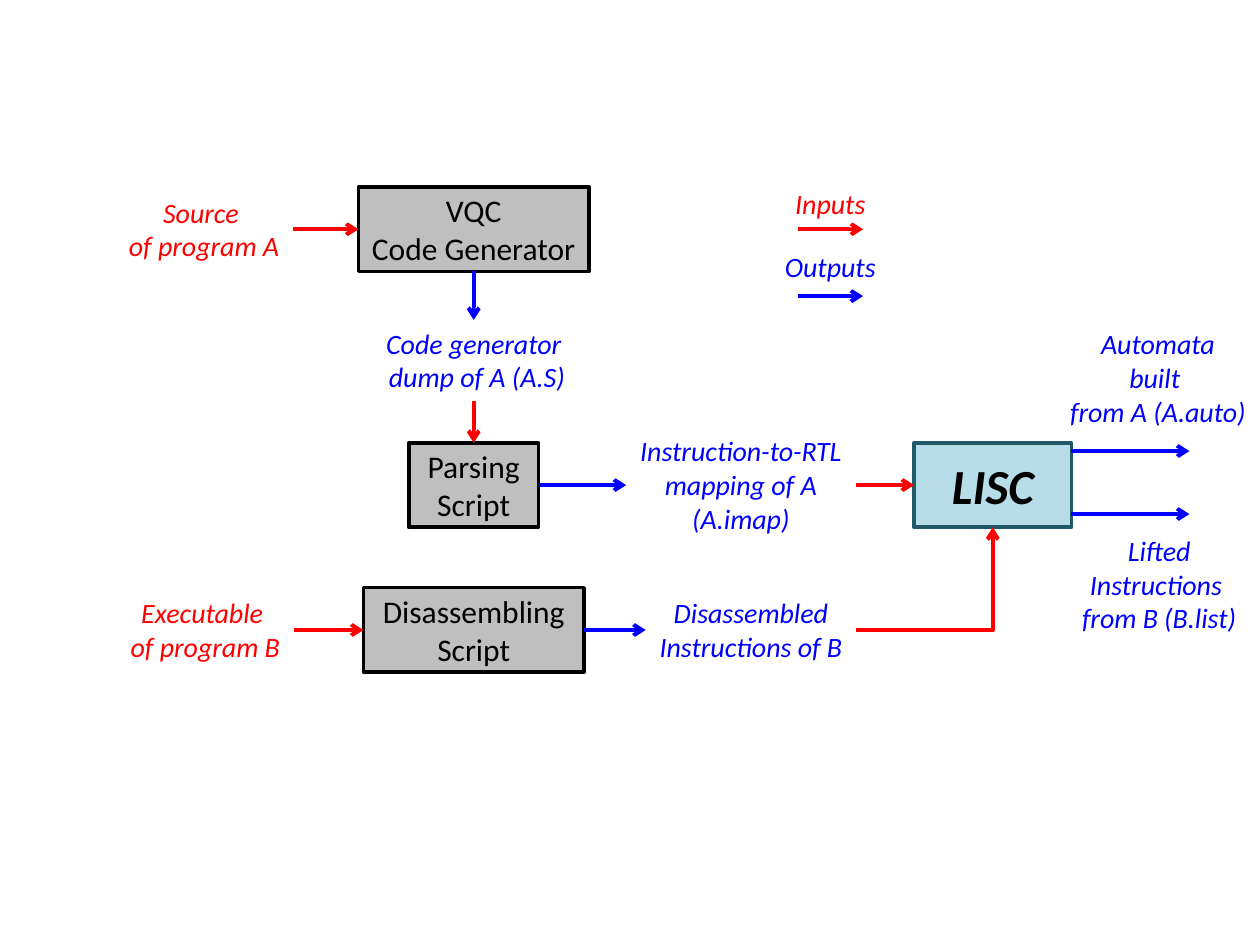
from dataclasses import dataclass

from lxml.etree import SubElement
from pptx import Presentation
from pptx.dml.color import RGBColor
from pptx.enum.shapes import MSO_CONNECTOR, MSO_SHAPE
from pptx.enum.text import MSO_ANCHOR, MSO_AUTO_SIZE, PP_ALIGN
from pptx.oxml.ns import qn
from pptx.util import Inches, Pt


@dataclass(frozen=True)
class Theme:
    font: str = "Calibri"
    red: str = "FF0000"
    blue: str = "0000FF"
    black: str = "000000"
    gray: str = "BFBFBF"
    aqua: str = "B7DEE8"
    teal: str = "215968"
    label: int = 16
    box: int = 18
    hero: int = 28
    edge: float = 2
    wire: float = 2.25


THEME = Theme()
TOP, LEFT, BOTTOM, RIGHT = range(4)
SPINE = 3.76
ROW_A, ROW_P, ROW_B = 1.82, 3.85, 5


def style(item, values):
    for name, value in values.items():
        setattr(item, name, value)


def write(frame, lines, size, color, **looks):
    looks = {"name": THEME.font, "size": Pt(size), **looks}
    for i, line in enumerate(lines):
        para = frame.paragraphs[0] if i == 0 else frame.add_paragraph()
        para.alignment = PP_ALIGN.CENTER
        run = para.add_run()
        run.text = line
        style(run.font, looks)
        run.font.color.rgb = RGBColor.from_string(color)


def place(x, y, width, height):
    return [Inches(v) for v in (x - width / 2, y - height / 2, width, height)]


def add_box(slide, x, y, width, lines, fill=THEME.gray, edge=THEME.black,
            size=THEME.box, **looks):
    box = slide.shapes.add_shape(MSO_SHAPE.RECTANGLE, *place(x, y, width, 0.67))
    box.shadow.inherit = False
    box.fill.solid()
    box.fill.fore_color.rgb = RGBColor.from_string(fill)
    box.line.color.rgb = RGBColor.from_string(edge)
    box.line.width = Pt(THEME.edge)
    style(box.text_frame, {"word_wrap": True, "vertical_anchor": MSO_ANCHOR.MIDDLE})
    write(box.text_frame, lines, size, THEME.black, **looks)
    return box


def add_label(slide, x, y, width, lines, color=THEME.blue):
    height = 0.1 + 0.27 * len(lines)
    label = slide.shapes.add_textbox(*place(x, y, width, height))
    style(label.text_frame, {"word_wrap": False,
                             "auto_size": MSO_AUTO_SIZE.SHAPE_TO_FIT_TEXT})
    write(label.text_frame, lines, THEME.label, color, italic=True)
    return label


def add_arrow(slide, color, ends=(0, 0, 0, 0), kind=MSO_CONNECTOR.STRAIGHT):
    arrow = slide.shapes.add_connector(kind, *[Inches(v) for v in ends])
    arrow.line.color.rgb = RGBColor.from_string(color)
    arrow.line.width = Pt(THEME.wire)
    props = arrow._element.spPr
    SubElement(props.find(qn("a:ln")), qn("a:tailEnd"), type="arrow")
    SubElement(props, qn("a:effectLst"))
    return arrow


def join(slide, color, start, side, stop, port, kind=MSO_CONNECTOR.STRAIGHT):
    arrow = add_arrow(slide, color, kind=kind)
    arrow.begin_connect(start, side)
    arrow.end_connect(stop, port)
    return arrow


def main():
    deck = Presentation()
    style(deck, {"slide_width": Inches(10), "slide_height": Inches(7.5)})
    slide = deck.slides.add_slide(deck.slide_layouts[6])
    red, blue = THEME.red, THEME.blue

    coder = add_box(slide, SPINE, ROW_A, 1.83, ["VQC", "Code Generator"])
    parser = add_box(slide, SPINE, ROW_P, 1.03, ["Parsing", "Script"])
    lisc = add_box(slide, 7.88, ROW_P, 1.25, ["LISC"], THEME.aqua, THEME.teal,
                   THEME.hero, bold=True, italic=True)
    splitter = add_box(slide, SPINE, ROW_B, 1.75, ["Disassembling", "Script"])

    source = add_label(slide, 1.62, ROW_A, 1.41, ["Source ", "of program A"], red)
    dump = add_label(slide, SPINE, 2.86, 1.67, ["Code generator", " dump of A (A.S)"])
    imap = add_label(slide, 5.88, ROW_P, 1.82,
                     ["Instruction-to-RTL", "mapping of A", "(A.imap)"])
    binary = add_label(slide, 1.63, ROW_B, 1.4, ["Executable ", "of program B"], red)
    listing = add_label(slide, 5.96, ROW_B, 1.67, ["Disassembled", "Instructions of B"])
    add_label(slide, 9.19, 3, 1.62, ["Automata", "built ", "from A (A.auto)"])
    add_label(slide, 9.2, 4.64, 1.44, ["Lifted", "Instructions ", "from B (B.list)"])

    for color, start, side, stop, port in (
        (red, source, RIGHT, coder, LEFT),
        (blue, coder, BOTTOM, dump, TOP),
        (red, dump, BOTTOM, parser, TOP),
        (blue, parser, RIGHT, imap, LEFT),
        (red, imap, RIGHT, lisc, LEFT),
        (red, binary, RIGHT, splitter, LEFT),
        (blue, splitter, RIGHT, listing, LEFT),
    ):
        join(slide, color, start, side, stop, port)

    elbow = join(slide, red, listing, RIGHT, lisc, BOTTOM, MSO_CONNECTOR.ELBOW)
    elbow._element.spPr.find(qn("a:prstGeom")).set("prst", "bentConnector2")

    for y in (3.58, 4.08):
        add_arrow(slide, blue, (8.5, y, 9.44, y))

    for text, color, width, y, line in (("Inputs", red, 0.77, 1.62, ROW_A),
                                        ("Outputs", blue, 0.93, 2.12, 2.35)):
        add_label(slide, 6.59, y, width, [text], color)
        add_arrow(slide, color, (6.33, line, 6.85, line))

    deck.save("out.pptx")


if __name__ == "__main__":
    main()
